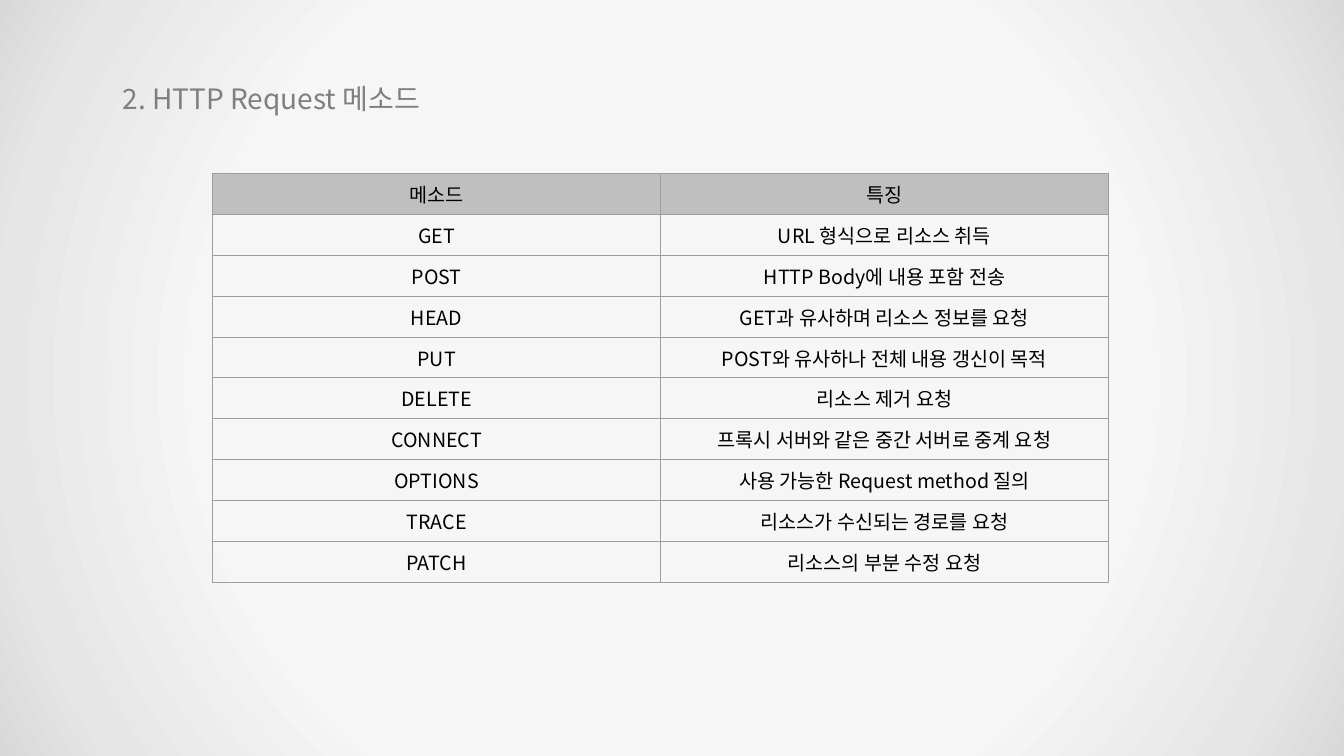
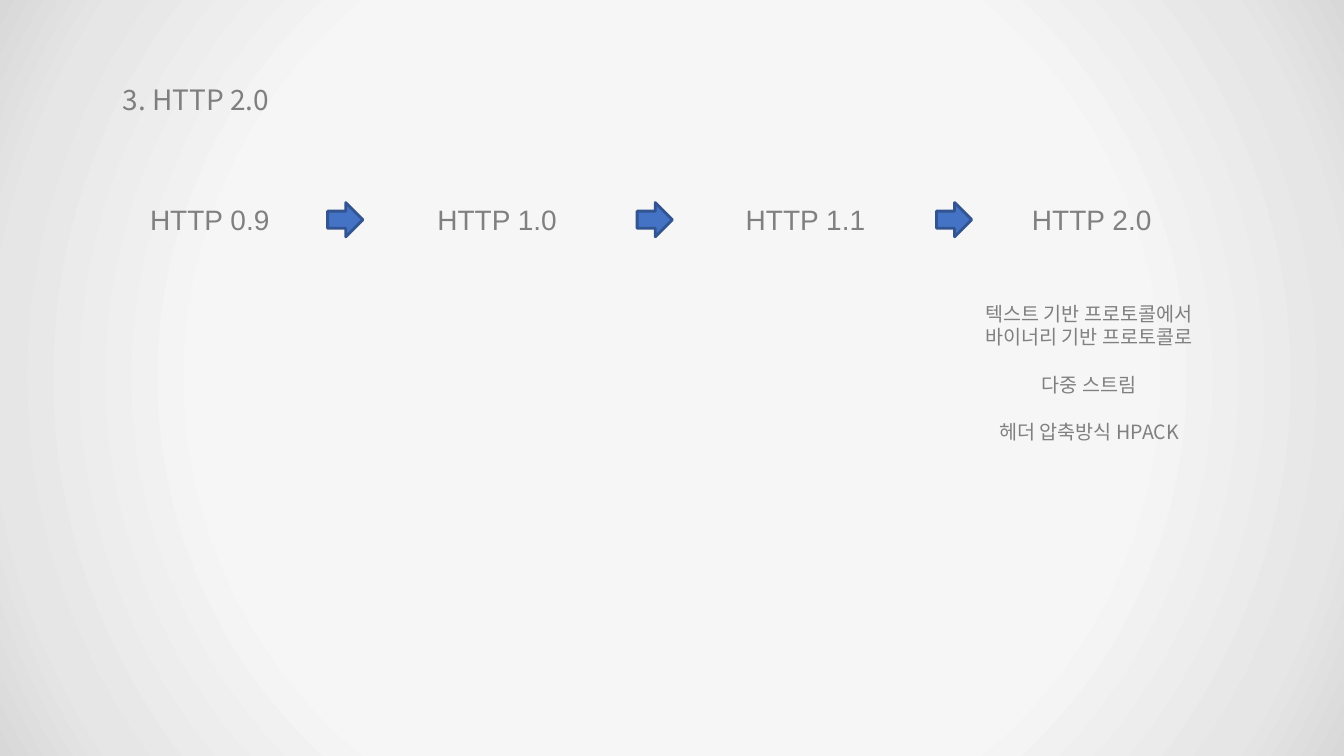
import pptx
import pptx.util
import pptx.dml.color
import pptx.enum.shapes
import pptx.enum.text
import pptx.oxml
import pptx.oxml.ns
import lxml.etree

Pt = pptx.util.Pt
qn = pptx.oxml.ns.qn
ALIGN = pptx.enum.text.PP_ALIGN
ANCHOR = pptx.enum.text.MSO_ANCHOR
GROW = pptx.enum.text.MSO_AUTO_SIZE.SHAPE_TO_FIT_TEXT

KOREAN = "Noto Sans CJK KR"
BLACK, TITLE_GRAY, TEXT_GRAY = "000000", "7F7F7F", "808080"
HEADER_FILL, GRID_LINE = "BFBFBF", "9E9E9E"
ARROW_FILL, ARROW_LINE = "4472C4", "325491"
BACKDROP = [(0, "F6F6F6"), (60, "F6F6F6"), (87, "E7E6E6"), (100, "D8D8D8")]

TITLE = {"size": 20, "font": KOREAN, "color": TITLE_GRAY, "line_spacing": 0.9}
CELL = {"size": 14, "font": KOREAN, "color": BLACK, "alignment": ALIGN.CENTER}
VERSION = {"size": 20, "font": "Arial", "color": TEXT_GRAY}
FEATURE = {"size": 14, "font": KOREAN, "color": TEXT_GRAY,
           "alignment": ALIGN.CENTER, "line_spacing": Pt(16.9)}

METHODS = [
    ("메소드", "특징"),
    ("GET", "URL 형식으로 리소스 취득"),
    ("POST", "HTTP Body에 내용 포함 전송"),
    ("HEAD", "GET과 유사하며 리소스 정보를 요청"),
    ("PUT", "POST와 유사하나 전체 내용 갱신이 목적"),
    ("DELETE", "리소스 제거 요청"),
    ("CONNECT", "프록시 서버와 같은 중간 서버로 중계 요청"),
    ("OPTIONS", "사용 가능한 Request method 질의"),
    ("TRACE", "리소스가 수신되는 경로를 요청"),
    ("PATCH", "리소스의 부분 수정 요청"),
]
VERSIONS = [("HTTP 0.9", 0), ("HTTP 1.0", 205.2),
            ("HTTP 1.1", 425.5), ("HTTP 2.0", 630)]
ARROW_OFFSETS = [133.9, 355, 568.8]
FEATURES = [("텍스트 기반 프로토콜에서", 0), ("바이너리 기반 프로토콜로", 0),
            ("다중 스트림", 16.9), ("헤더 압축방식 HPACK", 16.9)]


def rgb(value):
    """Turn a hex string into a colour."""
    return pptx.dml.color.RGBColor.from_string(value)


def points(*lengths):
    """Turn point values into lengths."""
    return [Pt(length) for length in lengths]


def write(paragraph, text, style, space_before=0):
    """Write one styled run into a paragraph."""
    run = paragraph.add_run()
    run.text = text
    run.font.color.rgb = rgb(style["color"])
    for name, value in {"size": Pt(style["size"]), "name": style["font"]}.items():
        setattr(run.font, name, value)
    east_asian = lxml.etree.SubElement(run.font._element, qn("a:ea"))
    east_asian.set("typeface", style["font"])
    layout = {"alignment": style.get("alignment", ALIGN.LEFT),
              "line_spacing": style.get("line_spacing", 1.0),
              "space_before": Pt(space_before)}
    for name, value in layout.items():
        setattr(paragraph, name, value)


def add_text(slide, box, lines, style, auto_size=GROW):
    """Add a text box with one paragraph for each (text, gap above) pair."""
    frame = slide.shapes.add_textbox(*points(*box)).text_frame
    for name, value in {"word_wrap": True, "auto_size": auto_size}.items():
        setattr(frame, name, value)
    for index, (text, gap) in enumerate(lines):
        paragraph = frame.add_paragraph() if index else frame.paragraphs[0]
        write(paragraph, text, style, gap)


def paint_backdrop(master):
    """Give every slide the radial grey gradient."""
    master.background.fill.gradient()
    gradient = master.element.find(".//" + qn("p:bg")).find(".//" + qn("a:gradFill"))
    stops = "".join(f'<a:gs pos="{position * 1000}"><a:srgbClr val="{color}"/></a:gs>'
                    for position, color in BACKDROP)
    radial = pptx.oxml.parse_xml(
        f'<a:gradFill {pptx.oxml.ns.nsdecls("a")} rotWithShape="1">'
        f'<a:gsLst>{stops}</a:gsLst><a:path path="circle">'
        '<a:fillToRect l="50000" t="50000" r="50000" b="50000"/>'
        '</a:path></a:gradFill>')
    gradient.getparent().replace(gradient, radial)


def add_titled_slide(deck, title, top):
    """Add a blank slide with its heading."""
    slide = deck.slides.add_slide(deck.slide_layouts[6])
    add_text(slide, (80.6, top, 449.3, 43.9), [(title, 0)], TITLE,
             pptx.enum.text.MSO_AUTO_SIZE.NONE)
    return slide


def outline_cell(cell):
    """Draw thin grey borders around a table cell."""
    properties = cell._tc.get_or_add_tcPr()
    for position, side in enumerate(("lnL", "lnR", "lnT", "lnB")):
        properties.insert(position, pptx.oxml.parse_xml(
            f'<a:{side} {pptx.oxml.ns.nsdecls("a")} w="{Pt(0.75)}"><a:solidFill>'
            f'<a:srgbClr val="{GRID_LINE}"/></a:solidFill></a:{side}>'))


def add_method_table(slide, box, rows):
    """Fill a box with the table of request methods."""
    table = slide.shapes.add_table(len(rows), len(rows[0]), *points(*box)).table
    for name in ("first_row", "horz_banding"):
        setattr(table, name, False)
    for row in table.rows:
        row.height = Pt(box[3] / len(rows))
    for row_index, texts in enumerate(rows):
        for column_index, text in enumerate(texts):
            cell = table.cell(row_index, column_index)
            cell.vertical_anchor = ANCHOR.MIDDLE
            write(cell.text_frame.paragraphs[0], text, CELL)
            if row_index:
                cell.fill.background()
            else:
                cell.fill.solid()
                cell.fill.fore_color.rgb = rgb(HEADER_FILL)
            outline_cell(cell)


def add_version_timeline(slide, left, top):
    """Lay out the protocol versions with arrows between them."""
    for version, offset in VERSIONS:
        add_text(slide, (left + offset, top, 122.4, 31.7), [(version, 0)], VERSION)
    for offset in ARROW_OFFSETS:
        arrow = slide.shapes.add_shape(
            pptx.enum.shapes.MSO_SHAPE.RIGHT_ARROW,
            *points(left + offset, top + 3.6, 25.2, 24.5))
        arrow.shadow.inherit = False
        arrow.fill.solid()
        arrow.fill.fore_color.rgb = rgb(ARROW_FILL)
        arrow.line.color.rgb = rgb(ARROW_LINE)
        arrow.line.width = Pt(2)


def main():
    """Build and save the presentation."""
    deck = pptx.Presentation()
    for name, value in {"slide_width": Pt(960), "slide_height": Pt(540)}.items():
        setattr(deck, name, value)
    paint_backdrop(deck.slide_master)

    methods = add_titled_slide(deck, "2. HTTP Request 메소드", 57.6)
    add_method_table(methods, (151.9, 123.8, 640, 292.3), METHODS)

    versions = add_titled_slide(deck, "3. HTTP 2.0", 58.3)
    add_version_timeline(versions, 100.1, 141.1)
    add_text(versions, (694.1, 211.7, 167.8, 108.7), FEATURES, FEATURE)

    deck.save("out.pptx")


main()
